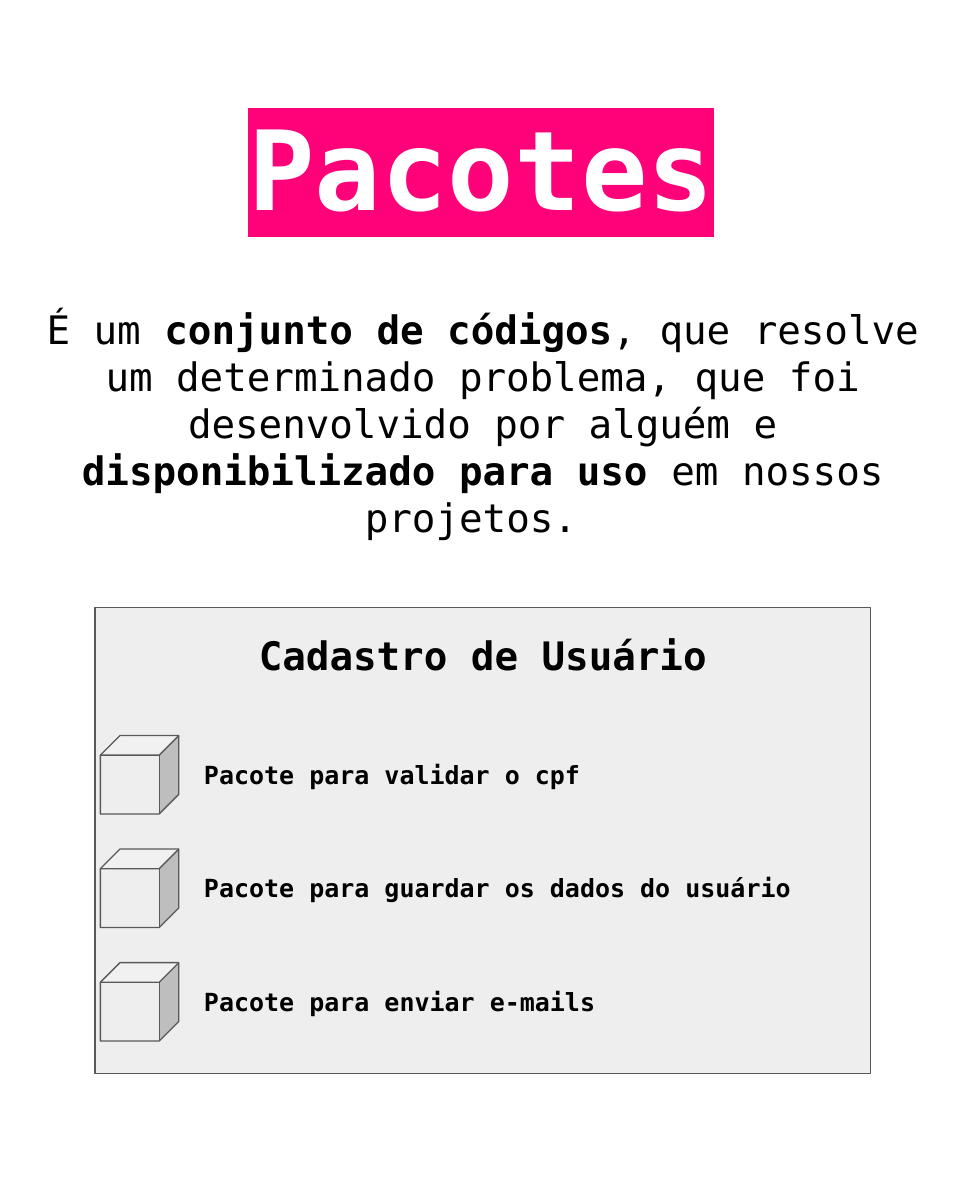
import dataclasses

import lxml.etree
import pptx
import pptx.dml.color
import pptx.enum.shapes
import pptx.enum.text
import pptx.oxml.ns
import pptx.util

Pt = pptx.util.Pt
Align = pptx.enum.text.PP_ALIGN
Anchor = pptx.enum.text.MSO_ANCHOR
Preset = pptx.enum.shapes.MSO_SHAPE


@dataclasses.dataclass(frozen=True)
class Theme:
    """Colours, font and type sizes of the slide."""

    font: str = "DejaVu Sans Mono"
    ink: str = "000000"
    paper: str = "FFFFFF"
    accent: str = "FF0178"
    panel: str = "EEEEEE"
    outline: str = "595959"
    title: int = 62
    body: int = 22
    label: int = 14


THEME = Theme()


def rgb(value):
    """Turn a hex string into a colour."""
    return pptx.dml.color.RGBColor.from_string(value)


def highlight(span, color):
    """Put a marker colour behind a run."""
    qn = pptx.oxml.ns.qn
    marker = lxml.etree.Element(qn("a:highlight"))
    lxml.etree.SubElement(marker, qn("a:srgbClr")).set("val", color)
    span.font._element.find(qn("a:solidFill")).addnext(marker)


def add_text(shapes, box, spans, *, size, color=THEME.ink, align=Align.CENTER,
             anchor=Anchor.TOP, inset=7.2, grow=True, marker=None):
    """Add one paragraph made of (text, bold) spans."""
    frame = shapes.add_textbox(*map(Pt, box)).text_frame
    frame.word_wrap = True
    fit = pptx.enum.text.MSO_AUTO_SIZE
    frame.auto_size = fit.SHAPE_TO_FIT_TEXT if grow else fit.NONE
    frame.vertical_anchor = anchor
    frame.margin_left = frame.margin_right = Pt(inset)
    frame.margin_top = frame.margin_bottom = Pt(inset)
    para = frame.paragraphs[0]
    para.alignment = align
    for text, bold in spans:
        span = para.add_run()
        span.text = text
        span.font.name = THEME.font
        span.font.size = Pt(size)
        span.font.bold = bold
        span.font.color.rgb = rgb(color)
        if marker:
            highlight(span, marker)


def add_solid(shapes, preset, box):
    """Add a grey outlined shape."""
    shape = shapes.add_shape(preset, *map(Pt, box))
    shape.shadow.inherit = False
    shape.fill.solid()
    shape.fill.fore_color.rgb = rgb(THEME.panel)
    shape.line.color.rgb = rgb(THEME.outline)
    shape.line.width = Pt(0.75)
    return shape


def add_title(page, box):
    """Add the highlighted title."""
    add_text(page.shapes, box, [("Pacotes", True)], size=THEME.title,
             color=THEME.paper, anchor=Anchor.MIDDLE, inset=5.76,
             grow=False, marker=THEME.accent)


def add_definition(page, box):
    """Add the definition with its bold key phrases."""
    add_text(page.shapes, box, [
        ("É um ", False),
        ("conjunto de códigos", True),
        (", que resolve um determinado problema, que foi desenvolvido por alguém e ", False),
        ("disponibilizado para uso", True),
        (" em nossos projetos. ", False),
    ], size=THEME.body)


def add_package(page, box, label):
    """Add a cube with its label, grouped."""
    left, top, width, cube = box
    shapes = page.shapes.add_group_shape().shapes
    add_solid(shapes, Preset.CUBE, (left, top, cube, cube)).adjustments[0] = 0.25
    indent, height = 51, 31.7
    add_text(shapes, (left + indent, top + (cube - height) / 2, width - indent, height),
             [(label, True)], size=THEME.label, align=Align.LEFT)


def add_example(page, box, heading, labels):
    """Add the panel with its heading and evenly spaced packages."""
    left, top, width, _ = box
    add_solid(page.shapes, Preset.RECTANGLE, box)
    add_text(page.shapes, (left + 0.7, top + 6.5, width - 1.4, 41),
             [(heading, True)], size=THEME.body)
    for row, label in enumerate(labels):
        add_package(page, (left + 3, top + 72 + row * 63.7, 429, 44), label)


def main():
    """Build and save the slide."""
    deck = pptx.Presentation()
    deck.slide_width, deck.slide_height = Pt(540), Pt(675.36)
    page = deck.slides.add_slide(deck.slide_layouts[6])
    page.background.fill.solid()
    page.background.fill.fore_color.rgb = rgb(THEME.paper)
    add_title(page, (0, 55.5, 540, 75.5))
    add_definition(page, (13.7, 164.2, 514, 147.6))
    add_example(page, (53.3, 340.6, 435, 261.4), "Cadastro de Usuário", [
        "Pacote para validar o cpf",
        "Pacote para guardar os dados do usuário",
        "Pacote para enviar e-mails",
    ])
    deck.save("out.pptx")


if __name__ == "__main__":
    main()
